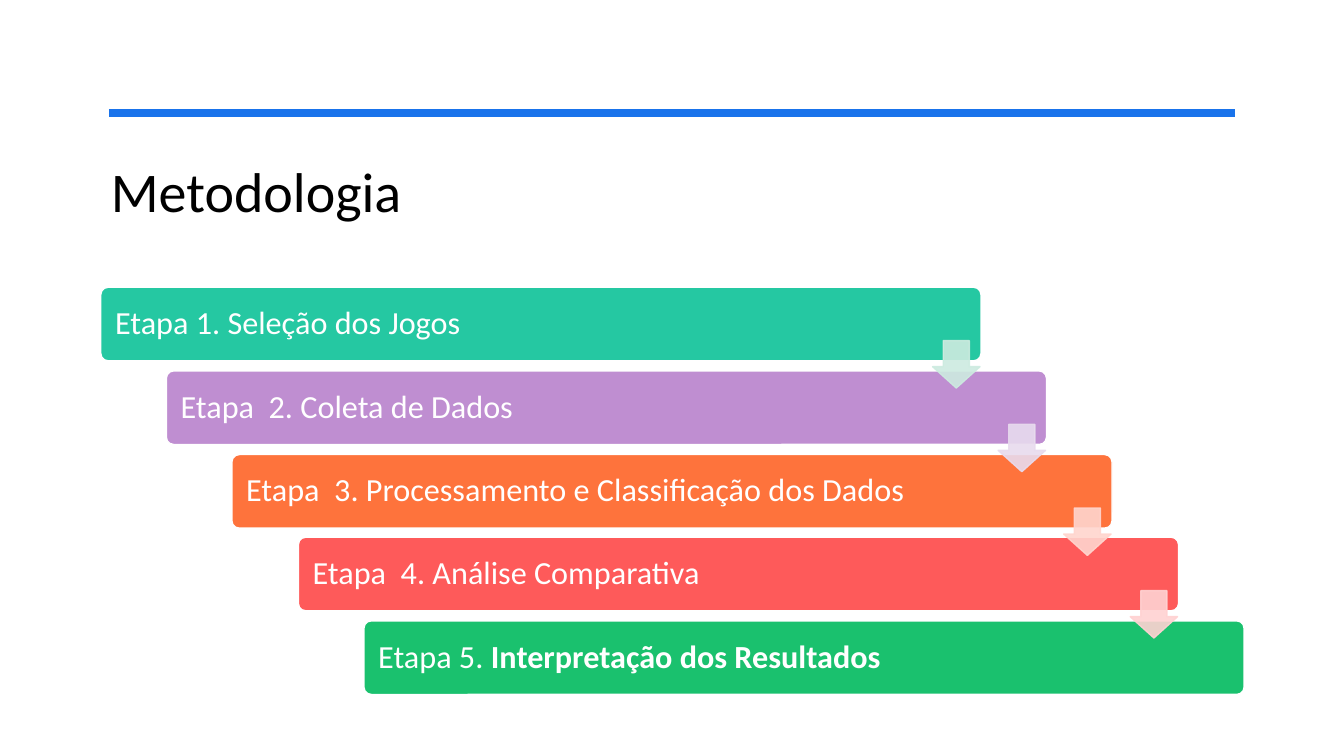
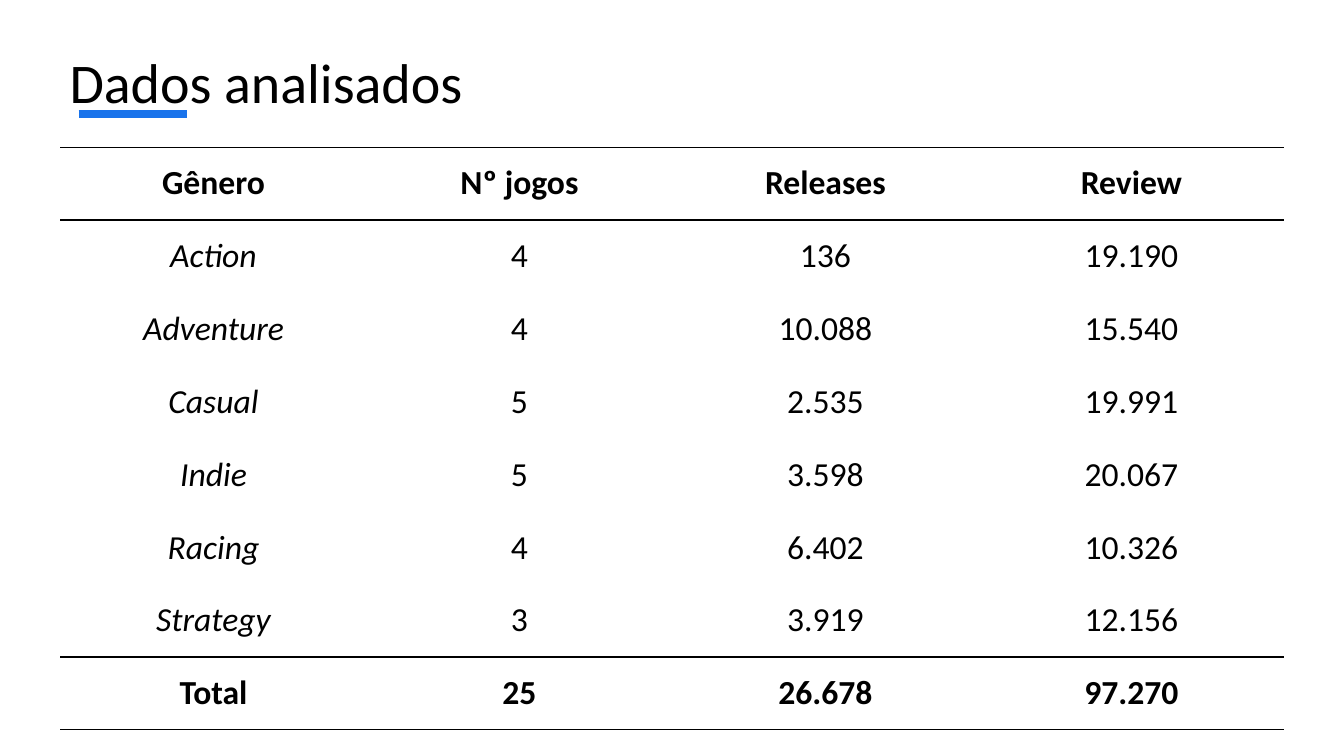
import dataclasses

import pptx
import pptx.dml.color
import pptx.enum.shapes
import pptx.enum.text
import pptx.oxml
import pptx.oxml.ns
import pptx.util
from lxml import etree

STAGES = [
    ([("Etapa 1. Seleção dos Jogos", False)], "25C8A2", "CDEBE0"),
    ([("Etapa  2. Coleta de Dados", False)], "BF8ED1", "E8DBEE"),
    ([("Etapa  3. Processamento e Classificação dos Dados", False)], "FE733C", "FFD5CE"),
    ([("Etapa  4. Análise Comparativa", False)], "FE5A5A", "FFD2D2"),
    ([("Etapa 5. ", False), ("Interpretação dos Resultados", True)], "1AC16E", None),
]

GENRES = [
    ("Gênero", "Nº jogos", "Releases", "Review"),
    ("Action", "4", "136", "19.190"),
    ("Adventure", "4", "10.088", "15.540"),
    ("Casual", "5", "2.535", "19.991"),
    ("Indie", "5", "3.598", "20.067"),
    ("Racing", "4", "6.402", "10.326"),
    ("Strategy", "3", "3.919", "12.156"),
    ("Total", "25", "26.678", "97.270"),
]


@dataclasses.dataclass(frozen=True)
class Theme:
    font: str = "Calibri"
    ink: str = "000000"
    paper: str = "FFFFFF"
    accent: str = "1973EB"
    title_size: int = 40
    stage_size: int = 23
    table_size: int = 24
    rule_width: int = 6
    thin_width: int = 1


THEME = Theme()
PX_PER_INCH = 100
PLAIN_TABLE = "{2D5ABB26-0587-4C30-8999-92F81FD0307C}"
ALIGN = pptx.enum.text.PP_ALIGN
MIDDLE = pptx.enum.text.MSO_ANCHOR.MIDDLE
PRESET = pptx.enum.shapes.MSO_SHAPE
qn = pptx.oxml.ns.qn


def px(length):
    return round(length * pptx.util.Inches(1) / PX_PER_INCH)


def rgb(code):
    return pptx.dml.color.RGBColor.from_string(code)


def write(frame, runs, size, color=THEME.ink, italic=False, align=ALIGN.LEFT,
          anchor=MIDDLE, spacing=1.0):
    frame.word_wrap = True
    frame.vertical_anchor = anchor
    paragraph = frame.paragraphs[0]
    paragraph.alignment = align
    paragraph.line_spacing = spacing
    for words, bold in runs:
        run = paragraph.add_run()
        run.text = words
        run.font.name = THEME.font
        run.font.size = pptx.util.Pt(size)
        run.font.color.rgb = rgb(color)
        run.font.bold = bold
        run.font.italic = italic


def add_titled_slide(deck, heading, title_corner, rule_span):
    slide = deck.slides.add_slide(deck.slide_layouts[5])
    title = slide.shapes.title
    title.left, title.top = map(px, title_corner)
    title.width, title.height = px(1133), px(125)
    write(title.text_frame, [(heading, False)], THEME.title_size,
          anchor=pptx.enum.text.MSO_ANCHOR.TOP)

    start, end, level = map(px, rule_span)
    rule = slide.shapes.add_connector(
        pptx.enum.shapes.MSO_CONNECTOR.STRAIGHT, start, level, end, level)
    rule.line.color.rgb = rgb(THEME.accent)
    rule.line.width = pptx.util.Pt(THEME.rule_width)
    etree.SubElement(rule.element.spPr, qn("a:effectLst"))
    return slide


def add_preset(slide, preset, box, fill, outline, adjustments):
    shape = slide.shapes.add_shape(preset, *map(px, box))
    shape.shadow.inherit = False
    shape.fill.solid()
    shape.fill.fore_color.rgb = rgb(fill)
    shape.line.color.rgb = rgb(outline)
    shape.line.width = pptx.util.Pt(THEME.thin_width)
    for index, value in enumerate(adjustments):
        shape.adjustments[index] = value
    return shape


def build_methodology(deck):
    slide = add_titled_slide(deck, "Metodologia", (100, 150), (108, 1225, 112))
    steps = len(STAGES) - 1
    corners = [(100 + round(261 * i / steps), 285 + round(331 * i / steps))
               for i in range(len(STAGES))]

    for (label, color, _), (left, top) in zip(STAGES, corners):
        bar = add_preset(slide, PRESET.ROUNDED_RECTANGLE, (left, top, 873, 73),
                         color, THEME.paper, [0.1])
        bar.text_frame.margin_left = px(12)
        write(bar.text_frame, label, THEME.stage_size, color=THEME.paper, spacing=0.9)

    for (_, _, tint), (left, top) in zip(STAGES[:-1], corners):
        arrow = add_preset(slide, PRESET.DOWN_ARROW, (left + 825, top + 53, 47, 47),
                           tint, tint, [0.55, 0.45])
        for color in arrow.element.spPr.iter(qn("a:srgbClr")):
            etree.SubElement(color, qn("a:alpha"), val="90000")


def add_row_borders(cell):
    properties = cell._tc.get_or_add_tcPr()
    for side in ("a:lnT", "a:lnB"):
        border = etree.SubElement(properties, qn(side),
                                  w=str(pptx.util.Pt(THEME.thin_width)))
        fill = etree.SubElement(border, qn("a:solidFill"))
        etree.SubElement(fill, qn("a:srgbClr"), val=THEME.ink)


def build_data(deck):
    slide = add_titled_slide(deck, "Dados analisados", (59, 42), (78, 185, 113))
    frame = slide.shapes.add_table(len(GENRES), len(GENRES[0]),
                                   *map(px, (60, 146, 1214, 578)))
    for style in frame.element.iter(qn("a:tableStyleId")):
        style.text = PLAIN_TABLE
    table = frame.table
    table.first_row = table.horz_banding = False

    for row, values in enumerate(GENRES):
        emphasized = row in (0, len(GENRES) - 1)
        for column, value in enumerate(values):
            cell = table.cell(row, column)
            cell.margin_left = cell.margin_right = 0
            cell.margin_top = cell.margin_bottom = 0
            cell.vertical_anchor = MIDDLE
            if emphasized:
                add_row_borders(cell)
            cell.fill.background()
            write(cell.text_frame, [(value, emphasized)], THEME.table_size,
                  italic=column == 0 and not emphasized, align=ALIGN.CENTER)


def main():
    deck = pptx.Presentation()
    deck.slide_width, deck.slide_height = px(1333), px(750)
    build_methodology(deck)
    build_data(deck)
    deck.save("out.pptx")


if __name__ == "__main__":
    main()
